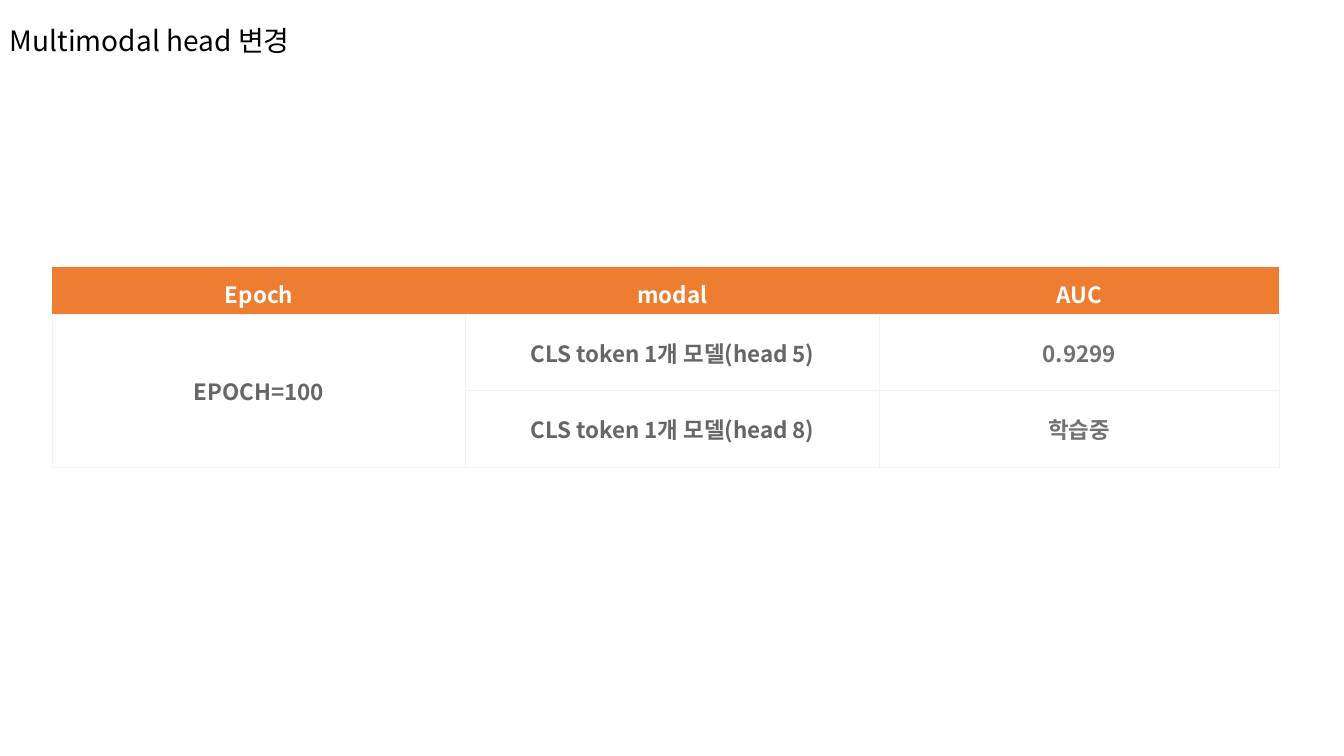
from lxml import etree
from pptx import Presentation, util as u
from pptx.dml.color import RGBColor
from pptx.enum import text
from pptx.oxml.ns import qn

HEADER = ("Epoch", "modal", "AUC")
RESULTS = (
    ("EPOCH=100", "CLS token 1개 모델(head 5)", "0.9299"),
    ("", "CLS token 1개 모델(head 8)", "학습중"),
)


def colour(code):
    return RGBColor.from_string(code)


class ResultSlide:
    """Holds the style and the slide; lengths are percentages of the slide."""

    font = "Noto Sans CJK KR"
    black, white, orange, rule = "000000", "FFFFFF", "ED7D31", "F3F3F3"
    label_grey, score_grey = "666666", "767171"

    def __init__(self, deck):
        self.width, self.height = deck.slide_width, deck.slide_height
        self.slide = deck.slides.add_slide(deck.slide_layouts[6])

    def across(self, share):
        return round(self.width * share / 100)

    def down(self, share):
        return round(self.height * share / 100)

    def box(self, left, top, width, height):
        return self.across(left), self.down(top), self.across(width), self.down(height)

    def style(self, paragraph, size, ink, bold=False):
        for run in paragraph.runs:
            run.font.name = self.font
            run.font.size = u.Pt(size)
            run.font.bold = bold
            run.font.color.rgb = colour(ink)
            east_asian = etree.SubElement(run.font._element, qn("a:ea"))
            east_asian.set("typeface", self.font)

    def title(self, wording, *place):
        frame = self.slide.shapes.add_textbox(*self.box(*place)).text_frame
        frame.word_wrap = True
        frame.vertical_anchor = text.MSO_ANCHOR.MIDDLE
        frame.text = wording
        heading = frame.paragraphs[0]
        heading.line_spacing = 0.9
        self.style(heading, 20, self.black)

    def borders(self, cell, ruled):
        """Rule the named sides (out of LRTB) and clear the others."""
        properties = cell._tc.get_or_add_tcPr()
        for side in "LRTB":
            line = etree.SubElement(properties, qn(f"a:ln{side}"), w=str(u.Pt(0.75)))
            if side in ruled:
                fill = etree.SubElement(line, qn("a:solidFill"))
                etree.SubElement(fill, qn("a:srgbClr"), val=self.rule)
            else:
                etree.SubElement(line, qn("a:noFill"))

    def cell(self, cell, wording, ink, ground, ruled):
        self.borders(cell, ruled)
        cell.fill.solid()
        cell.fill.fore_color.rgb = colour(ground)
        cell.margin_left = cell.margin_right = u.Inches(0.1)
        cell.margin_top = cell.margin_bottom = u.Inches(0.1)
        cell.vertical_anchor = text.MSO_ANCHOR.MIDDLE
        cell.text_frame.text = wording
        paragraph = cell.text_frame.paragraphs[0]
        paragraph.alignment = text.PP_ALIGN.CENTER
        self.style(paragraph, 16, ink, bold=True)

    def table(self, left, top, columns, rows):
        place = self.box(left, top, sum(columns), sum(rows))
        scores = self.slide.shapes.add_table(len(rows), len(columns), *place).table
        for column, share in zip(scores.columns, columns):
            column.width = self.across(share)
        for row, share in zip(scores.rows, rows):
            row.height = self.down(share)
        for c, wording in enumerate(HEADER):
            self.cell(scores.cell(0, c), wording, self.white, self.orange, "B")
        inks = (self.label_grey, self.label_grey, self.score_grey)
        for r, result in enumerate(RESULTS, 1):
            for c, (wording, ink) in enumerate(zip(result, inks)):
                self.cell(scores.cell(r, c), wording, ink, self.white, "LRTB")
        scores.cell(1, 0).merge(scores.cell(len(RESULTS), 0))


def main():
    deck = Presentation()
    deck.slide_width, deck.slide_height = u.Inches(13.33), u.Inches(7.5)
    page = ResultSlide(deck)
    page.title("Multimodal head 변경", 0, 0.27, 86.27, 10.8)
    page.table(3.9, 35.33, columns=(30.76, 30.76, 29.78), rows=(5.47, 10.13, 10.13))
    deck.save("out.pptx")


if __name__ == "__main__":
    main()
